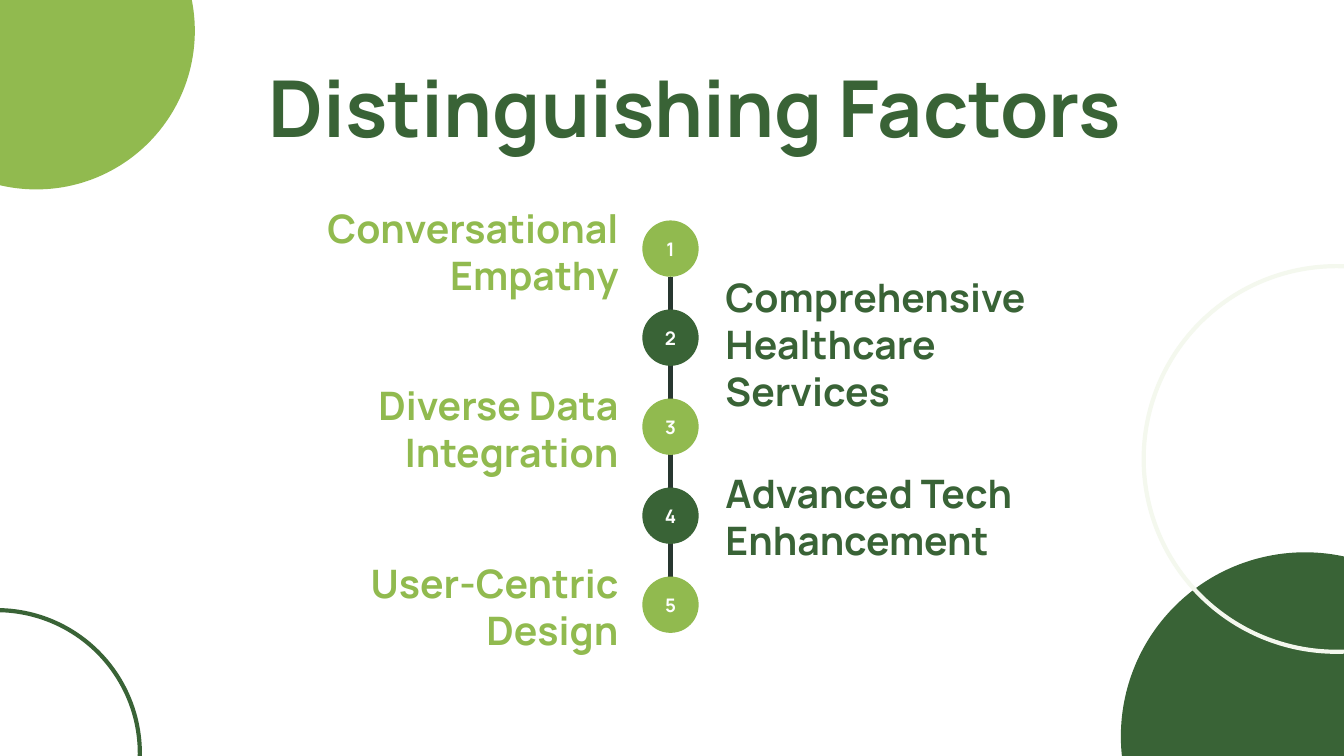
from dataclasses import dataclass

from lxml import etree
from pptx import Presentation
from pptx import util as u
from pptx.dml.color import RGBColor
from pptx.enum import shapes, text
from pptx.oxml.ns import qn


@dataclass(frozen=True)
class Theme:
    font: str = "Manrope"
    dark: str = "396336"
    light: str = "91BA4F"
    pale: str = "F4F8EE"
    spine: str = "283730"
    white: str = "FFFFFF"
    title: float = 42
    label: float = 21
    number: float = 10
    stroke: float = 2.25
    inset: float = 7.2


class Deck:
    def __init__(self, s, theme):
        self.s = s
        self.theme = theme

    def set_words(self, sp, words, size, color, align):
        tf = sp.text_frame
        tf.word_wrap = True
        inset = u.Pt(self.theme.inset)
        tf.margin_left = tf.margin_right = inset
        tf.margin_top = tf.margin_bottom = inset
        tf.text = words
        p = tf.paragraphs[0]
        p.alignment = align
        for r in p.runs:
            r.font.name = self.theme.font
            r.font.size = u.Pt(size)
            r.font.bold = True
            r.font.color.rgb = RGBColor.from_string(color)

    def label(self, x, y, w, h, words, size, color, align):
        sp = self.s.shapes.add_textbox(u.Pt(x), u.Pt(y), u.Pt(w), u.Pt(h))
        self.set_words(sp, words, size, color, align)

    def circle(self, x, y, d, fill=None, line=None):
        sp = self.s.shapes.add_shape(
            shapes.MSO_SHAPE.OVAL, u.Pt(x), u.Pt(y), u.Pt(d), u.Pt(d))
        sp.shadow.inherit = False
        if fill:
            sp.fill.solid()
            sp.fill.fore_color.rgb = RGBColor.from_string(fill)
        else:
            sp.fill.background()
        if line:
            sp.line.color.rgb = RGBColor.from_string(line)
            sp.line.width = u.Pt(self.theme.stroke)
        else:
            sp.line.fill.background()
        return sp

    def badge(self, x, y, d, number, fill):
        sp = self.circle(x, y, d, fill)
        self.set_words(sp, str(number), self.theme.number, self.theme.white,
                       text.PP_ALIGN.CENTER)
        sp.text_frame.vertical_anchor = text.MSO_ANCHOR.MIDDLE
        sp.text_frame.word_wrap = False

    def line(self, x1, y1, x2, y2, color):
        sp = self.s.shapes.add_connector(
            shapes.MSO_CONNECTOR.STRAIGHT,
            u.Pt(x1), u.Pt(y1), u.Pt(x2), u.Pt(y2))
        sp.line.color.rgb = RGBColor.from_string(color)
        sp.line.width = u.Pt(self.theme.stroke)
        etree.SubElement(sp._element.spPr, qn("a:effectLst"))


def main():
    prs = Presentation()
    prs.slide_width, prs.slide_height = u.Pt(720), u.Pt(405)
    theme = Theme()
    deck = Deck(prs.slides.add_slide(prs.slide_layouts[6]), theme)

    deck.circle(600.5, 295.9, 197.3, fill=theme.dark)
    deck.circle(-65.5, -68.4, 169.9, fill=theme.light)
    deck.circle(-78.5, 326.9, 153.4, line=theme.dark)
    deck.circle(612.7, 142.6, 206.6, line=theme.pale)

    deck.label(36.7, 24.5, 671, 45.4, "Distinguishing Factors",
               theme.title, theme.dark, text.PP_ALIGN.CENTER)

    factors = [
        ("Conversational Empathy", 102.2, 63.4),
        ("Comprehensive Healthcare Services", 139, 85),
        ("Diverse Data Integration", 197.3, 63.4),
        ("Advanced Tech Enhancement", 244.1, 64),
        ("User-Centric Design", 292.3, 63.4),
    ]
    sides = [
        (141.1, theme.light, text.PP_ALIGN.RIGHT),
        (381.6, theme.dark, text.PP_ALIGN.LEFT),
    ]
    left, top, size, step = 344.1, 118.1, 30.2, 47.7
    center = left + size / 2
    deck.line(center, top + size, center, top + step * (len(factors) - 1),
              theme.spine)
    for i, (words, y, height) in enumerate(factors):
        x, color, align = sides[i % 2]
        deck.label(x, y, 197.3, height, words, theme.label, color, align)
        deck.badge(left, top + i * step, size, i + 1, color)

    prs.save("out.pptx")


if __name__ == "__main__":
    main()
